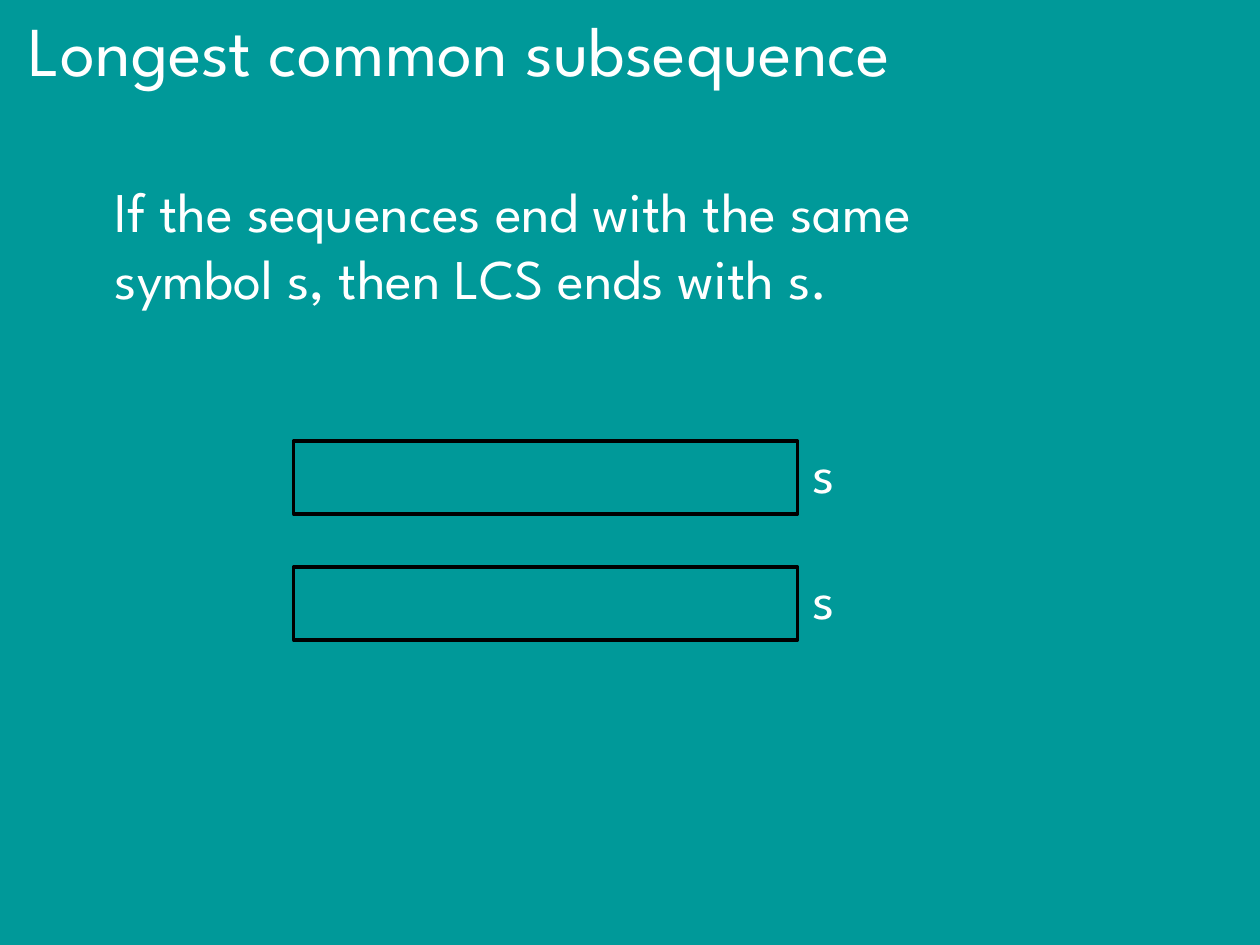
from dataclasses import dataclass

from lxml.etree import Element
from pptx import Presentation
from pptx.dml.color import RGBColor
from pptx.enum.shapes import MSO_SHAPE
from pptx.enum.text import MSO_ANCHOR, MSO_AUTO_SIZE, PP_ALIGN
from pptx.oxml.ns import qn
from pptx.util import Cm, Pt


@dataclass(frozen=True)
class Theme:
    font: str = "League Spartan"
    background: RGBColor = RGBColor(0x00, 0x99, 0x99)
    text: RGBColor = RGBColor(0xFF, 0xFF, 0xFF)
    outline: RGBColor = RGBColor(0x00, 0x00, 0x00)
    title_size: int = 40
    body_size: int = 32
    line_width: int = 2


def format_text(frame, text, *, font, size, color):
    frame.auto_size = MSO_AUTO_SIZE.NONE
    frame.word_wrap = True
    frame.vertical_anchor = MSO_ANCHOR.TOP
    frame.text = text
    for paragraph in frame.paragraphs:
        paragraph.alignment = PP_ALIGN.LEFT
        paragraph.space_before = Pt(0)
        paragraph.font.name = font
        paragraph.font.size = Pt(size)
        paragraph.font.color.rgb = color


def place(shape, left, top, width, height):
    shape.left, shape.top = Cm(left), Cm(top)
    shape.width, shape.height = Cm(width), Cm(height)


class SlideBuilder:
    def __init__(self, slide, theme):
        self.slide = slide
        self.theme = theme
        fill = slide.background.fill
        fill.solid()
        fill.fore_color.rgb = theme.background

    def fill_text(self, shape, text, size):
        format_text(shape.text_frame, text, font=self.theme.font,
                    size=size, color=self.theme.text)

    def title(self, text, *box):
        shape = self.slide.shapes.title
        place(shape, *box)
        self.fill_text(shape, text, self.theme.title_size)

    def body(self, lines, *box):
        shape = self.slide.placeholders[1]
        place(shape, *box)
        self.fill_text(shape, "\n".join(lines), self.theme.body_size)
        for paragraph in shape.text_frame.paragraphs:
            properties = paragraph._p.get_or_add_pPr()
            properties.set("marL", "0")
            properties.set("indent", "0")
            properties.find(qn("a:defRPr")).addprevious(Element(qn("a:buNone")))

    def label(self, text, *box):
        shape = self.slide.shapes.add_textbox(*map(Cm, box))
        self.fill_text(shape, text, self.theme.body_size)

    def sequence_box(self, *box):
        shape = self.slide.shapes.add_shape(MSO_SHAPE.RECTANGLE, *map(Cm, box))
        shape.shadow.inherit = False
        shape.fill.background()
        shape.line.color.rgb = self.theme.outline
        shape.line.width = Pt(self.theme.line_width)


def main():
    presentation = Presentation()
    presentation.slide_width = Cm(25.4)
    presentation.slide_height = Cm(19.05)
    slide = presentation.slides.add_slide(presentation.slide_layouts[1])
    builder = SlideBuilder(slide, Theme())

    builder.title("Longest common subsequence", 0.33, 0, 21.18, 1.96)
    builder.body(["If the sequences end with the same",
                  "symbol s, then LCS ends with s."], 2.06, 3.43, 19.35, 2.97)
    for top in (8.89, 11.43):
        builder.sequence_box(5.92, top, 10.16, 1.47)
        builder.label("s", 16.13, top - 0.2, 1.04, 1.63)

    presentation.save("out.pptx")


if __name__ == "__main__":
    main()
